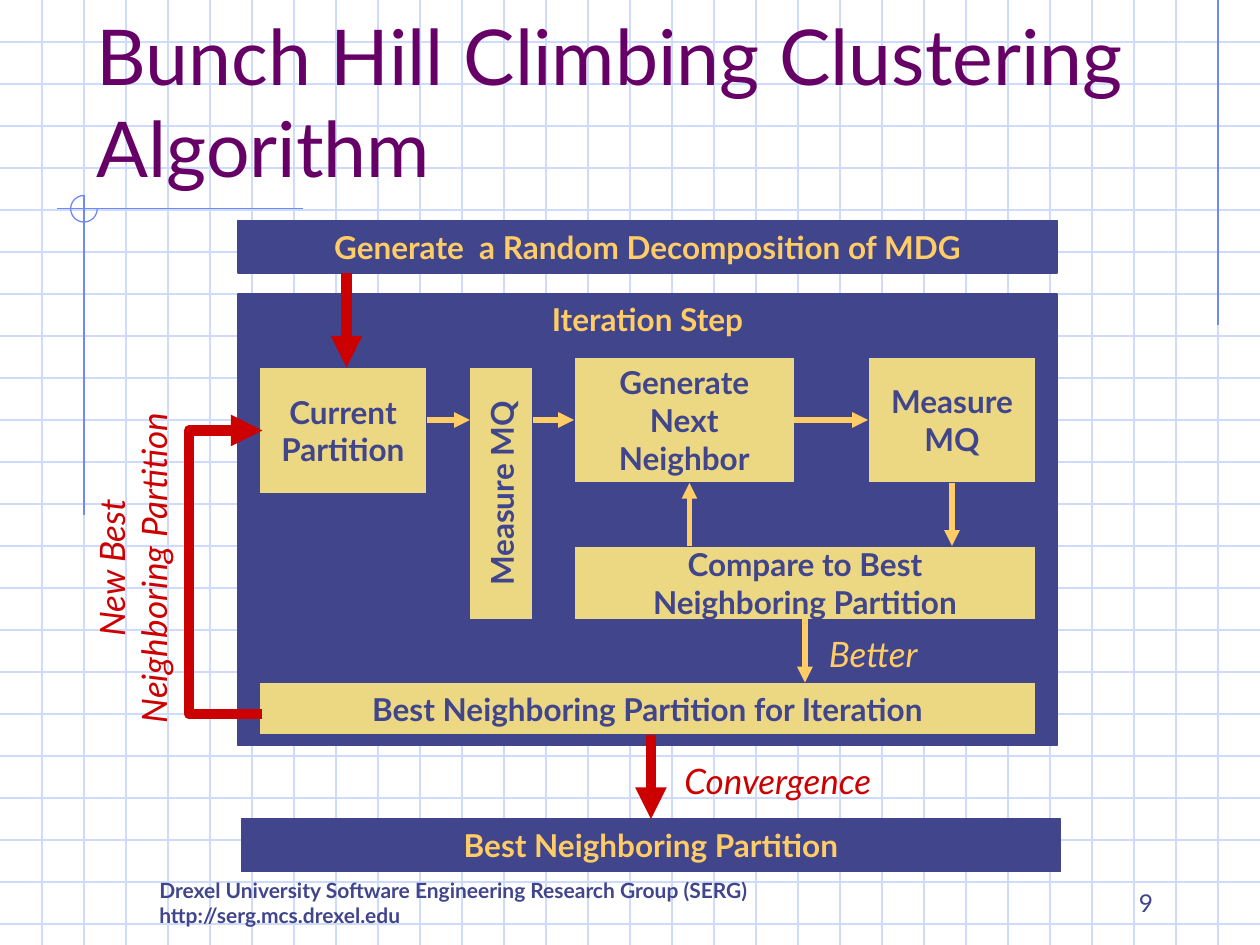
from dataclasses import dataclass

from lxml.etree import SubElement
from pptx import Presentation
from pptx.dml.color import RGBColor as Rgb
from pptx.enum.shapes import MSO_CONNECTOR as Connector, MSO_SHAPE as Preset
from pptx.enum.text import MSO_ANCHOR as Anchor, MSO_AUTO_SIZE as AutoSize, PP_ALIGN as Align
from pptx.oxml.ns import qn
from pptx.util import Pt


@dataclass(frozen=True)
class Theme:
    font: str = "Lato"
    grid: Rgb = Rgb(0xCF, 0xDB, 0xFD)
    rule: Rgb = Rgb(0x6F, 0x89, 0xF7)
    navy: Rgb = Rgb(0x40, 0x45, 0x8C)
    sand: Rgb = Rgb(0xEC, 0xD8, 0x82)
    gold: Rgb = Rgb(0xFF, 0xCC, 0x66)
    red: Rgb = Rgb(0xCC, 0x00, 0x00)
    purple: Rgb = Rgb(0x66, 0x00, 0x66)
    title_size: int = 44
    label_size: int = 20
    box_size: int = 18
    number_size: int = 14
    footer_size: int = 12
    thin: float = 0.75
    step: int = 3
    flow: int = 6


THEME = Theme()
WIDTH, HEIGHT, PITCH = 720, 540, 24
TOP, LEFT, BOTTOM, RIGHT = range(4)


def write_text(shape, text, size, color, bold=False, italic=False,
               align=Align.LEFT, anchor=Anchor.TOP, wrap=False):
    """Fill a shape with one paragraph for each line of text."""
    frame = shape.text_frame
    frame.word_wrap = wrap
    frame.auto_size = AutoSize.NONE
    frame.vertical_anchor = anchor
    frame.text = text
    for paragraph in frame.paragraphs:
        paragraph.alignment = align
        for run in paragraph.runs:
            font = run.font
            font.name, font.size = THEME.font, Pt(size)
            font.bold, font.italic = bold, italic
            font.color.rgb = color


def add_label(slide, text, left, top, width, height, rotation=0, **text_format):
    label = slide.shapes.add_textbox(Pt(left), Pt(top), Pt(width), Pt(height))
    label.rotation = rotation
    write_text(label, text, **text_format)


def add_box(slide, text, left, top, width, height, fill=THEME.sand,
            color=THEME.navy, anchor=Anchor.MIDDLE, rotation=0):
    box = slide.shapes.add_shape(Preset.RECTANGLE, Pt(left), Pt(top), Pt(width), Pt(height))
    box.shadow.inherit = False
    box.rotation = rotation
    box.fill.solid()
    box.fill.fore_color.rgb = fill
    box.line.color.rgb = THEME.navy
    box.line.width = Pt(THEME.thin)
    write_text(box, text, size=THEME.box_size, color=color, bold=True,
               align=Align.CENTER, anchor=anchor)
    return box


def add_arrowhead(shape):
    SubElement(shape.line._get_or_add_ln(), qn("a:tailEnd"), type="triangle")


def add_line(shapes, start, end, color, width=THEME.thin, arrow=False,
             begin_at=None, end_at=None):
    """Draw a line; begin_at and end_at are (box, side) pairs to join."""
    line = shapes.add_connector(Connector.STRAIGHT, *map(Pt, (*start, *end)))
    line.line.color.rgb = color
    line.line.width = Pt(width)
    SubElement(line.element.spPr, qn("a:effectLst"))
    if arrow:
        add_arrowhead(line)
    if begin_at:
        line.begin_connect(*begin_at)
    if end_at:
        line.end_connect(*end_at)


def draw_backdrop(slide):
    # Square grid
    shapes = slide.shapes.add_group_shape().shapes
    for y in range(PITCH, HEIGHT, PITCH):
        add_line(shapes, (0, y), (WIDTH, y), THEME.grid)
    for x in range(PITCH, WIDTH, PITCH):
        add_line(shapes, (x, 0), (x, HEIGHT), THEME.grid)

    # Corner rules and the open circle where they cross
    center_x, center_y, radius = 48, 119.3, 7.6
    add_line(shapes, (696, 0), (696, 186), THEME.rule)
    add_line(shapes, (173, center_y), (32.5, center_y), THEME.rule)
    add_line(shapes, (center_x, center_y - radius), (center_x, 294.5), THEME.rule)
    arc = shapes.add_shape(Preset.ARC, Pt(center_x - radius), Pt(center_y - radius),
                           Pt(2 * radius), Pt(2 * radius))
    arc.adjustments[0], arc.adjustments[1] = 0, 162  # 0 to 270 degrees
    arc.shadow.inherit = False
    arc.fill.background()
    arc.line.color.rgb = THEME.rule
    arc.line.width = Pt(THEME.thin)


def place_title(slide, text, left, top, width, height):
    title = slide.shapes.title
    title.left, title.top, title.width, title.height = map(Pt, (left, top, width, height))
    write_text(title, text, size=THEME.title_size, color=THEME.purple,
               anchor=Anchor.BOTTOM, wrap=True)
    title.element.getparent().append(title.element)  # in front of the grid


def draw_iteration(slide, left, top, width, height):
    """Draw the iteration panel and the steps inside it."""
    def at(x, y):
        return left + x, top + y

    def step_arrow(start, end, **joins):
        add_line(slide.shapes, at(*start), at(*end), THEME.gold, THEME.step, True, **joins)

    # Panel and steps
    add_box(slide, "Iteration Step", left, top, width, height,
            fill=THEME.navy, color=THEME.gold, anchor=Anchor.TOP)
    add_box(slide, "Current\nPartition", *at(12, 42), 96, 72)
    add_box(slide, "Measure MQ", *at(78.5, 96), 144, 36, rotation=270)
    generate = add_box(slide, "Generate\nNext\nNeighbor", *at(192, 36), 126, 72)
    measure = add_box(slide, "Measure\nMQ", *at(360, 36), 96, 72)
    compare = add_box(slide, "Compare to Best\nNeighboring Partition", *at(192, 144), 264, 42)
    add_box(slide, "Best Neighboring Partition for Iteration", *at(12, 222), 444, 30)

    # Arrows from step to step
    step_arrow((108, 72), (132.5, 72))
    step_arrow((168.5, 72), (192, 72), end_at=(generate, LEFT))
    step_arrow((318, 72), (360, 72), begin_at=(generate, RIGHT), end_at=(measure, LEFT))
    step_arrow((408, 108), (408, 144), begin_at=(measure, BOTTOM))
    step_arrow((258, 144), (258, 108))
    step_arrow((324, 186), (324, 222), begin_at=(compare, BOTTOM))
    add_label(slide, "Better", *at(330.5, 190), 68, 31.5,
              size=THEME.label_size, color=THEME.gold, italic=True)


def draw_feedback(slide, left, top, width, height):
    """Draw the loop from the best partition back to the current one."""
    right, bottom = left + width, top + height
    builder = slide.shapes.build_freeform(Pt(right), Pt(bottom))
    corners = [(left, bottom), (left, top), (right, top)]
    builder.add_line_segments([(Pt(x), Pt(y)) for x, y in corners], close=False)
    loop = builder.convert_to_shape()
    loop.shadow.inherit = False
    loop.fill.background()
    loop.line.color.rgb = THEME.red
    loop.line.width = Pt(THEME.flow)
    add_arrowhead(loop)
    add_label(slide, "New Best\nNeighboring Partition", left - 137, top + 51, 209, 55,
              rotation=270, size=THEME.label_size, color=THEME.red,
              italic=True, align=Align.CENTER)


def draw_flow(slide, left, top, width):
    """Draw the start, the iteration, the result and the red flow between them."""
    bar, panel_top, result_top = 30, top + 42, top + 342
    add_box(slide, "Generate  a Random Decomposition of MDG", left, top, width, bar,
            fill=THEME.navy, color=THEME.gold)
    result = add_box(slide, "Best Neighboring Partition", left + 2, result_top, width, bar,
                     fill=THEME.navy, color=THEME.gold)
    draw_iteration(slide, left, panel_top, width, 258)
    draw_feedback(slide, left - 28, panel_top + 78, 42, 162)

    start_x, result_x = left + 62, left + 236
    add_line(slide.shapes, (start_x, top + bar), (start_x, panel_top + 42),
             THEME.red, THEME.flow, True)
    add_line(slide.shapes, (result_x, panel_top + 252), (result_x, result_top),
             THEME.red, THEME.flow, True, end_at=(result, TOP))
    add_label(slide, "Convergence", left + 248, result_top - 37.5, 128, 31.5,
              size=THEME.label_size, color=THEME.red, italic=True)


def place_footer(slide, left, top, width, height):
    add_label(slide, "Drexel University Software Engineering Research Group (SERG)\v"
              "http://serg.mcs.drexel.edu", left, top + 6, 468, height,
              size=THEME.footer_size, color=THEME.navy, bold=True, wrap=True)
    add_label(slide, "9", left + width - 150, top, 150, height,
              size=THEME.number_size, color=THEME.navy,
              align=Align.RIGHT, anchor=Anchor.BOTTOM, wrap=True)


def main():
    presentation = Presentation()
    presentation.slide_width, presentation.slide_height = Pt(WIDTH), Pt(HEIGHT)
    slide = presentation.slides.add_slide(presentation.slide_layouts[5])
    draw_backdrop(slide)
    place_title(slide, "Bunch Hill Climbing Clustering Algorithm", 48, 24, 612, 90)
    draw_flow(slide, 136, 126, 468)
    place_footer(slide, 84, 492, 582, 36)
    presentation.save("out.pptx")


if __name__ == "__main__":
    main()
